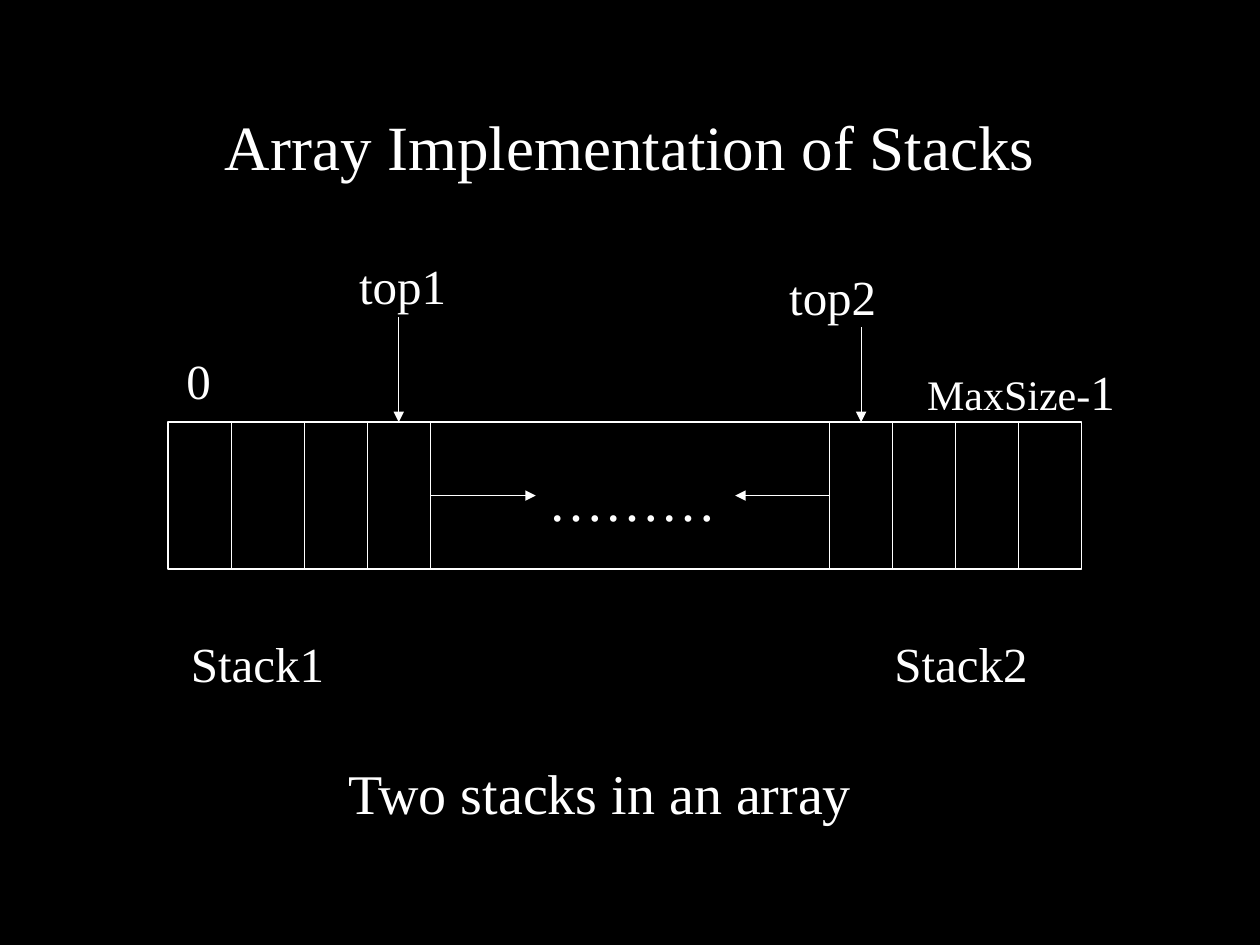
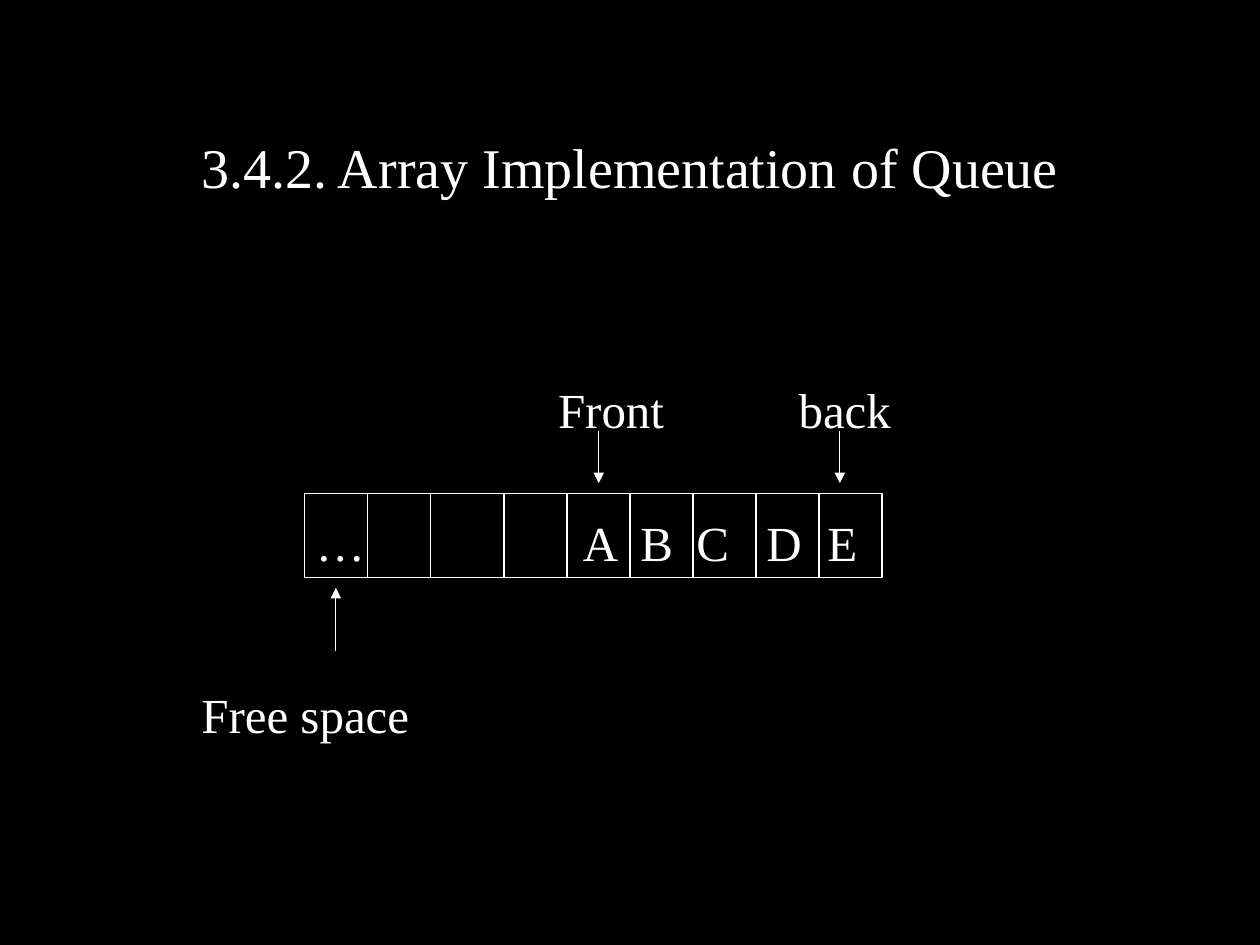
from lxml import etree
from pptx import Presentation
from pptx.dml.color import RGBColor
from pptx.enum.shapes import MSO_CONNECTOR, MSO_SHAPE
from pptx.enum.text import MSO_ANCHOR, PP_ALIGN
from pptx.oxml.ns import qn
from pptx.util import Cm, Pt

BLACK = RGBColor(0x00, 0x00, 0x00)
WHITE = RGBColor(0xFF, 0xFF, 0xFF)
FONT = "Times New Roman"
STRAIGHT = MSO_CONNECTOR.STRAIGHT
RECTANGLE = MSO_SHAPE.RECTANGLE
MIDDLE = MSO_ANCHOR.MIDDLE
CENTER = PP_ALIGN.CENTER
LINE_WIDTH = Pt(0.75)
CELL = 1.27


def add_label(slide, text, left, top, width, size=28, height=1.45):
    label = slide.shapes.add_textbox(Cm(left), Cm(top), Cm(width), Cm(height))
    frame = label.text_frame
    frame.word_wrap = True
    frame.margin_top = Cm(0.25)
    frame.text = text
    font = frame.paragraphs[0].runs[0].font
    font.name, font.size = FONT, Pt(size)
    font.color.rgb = WHITE
    return frame


def add_line(slide, x1, y1, x2, y2, arrow=False):
    line = slide.shapes.add_connector(STRAIGHT, Cm(x1), Cm(y1), Cm(x2), Cm(y2))
    line.line.color.rgb = WHITE
    line.line.width = LINE_WIDTH
    if arrow:
        etree.SubElement(line.line._get_or_add_ln(), qn("a:tailEnd"), type="triangle")
    etree.SubElement(line._element.spPr, qn("a:effectLst"))


prs = Presentation()
prs.slide_width = Cm(25.4)
prs.slide_height = Cm(19.05)
background = prs.slide_master.background.fill
background.solid()
background.fore_color.rgb = BLACK

pages = [
    ("Array Implementation of Stacks", 36, 2.34,
     (3.39, 8.51, 18.42, 2.96),
     [4.66, 6.14, 7.41, 8.68] + [16.72 + i * CELL for i in range(4)]),
    ("3.4.2. Array Implementation of Queue", 32, 3.18,
     (6.14, 9.95, 11.64, 1.69),
     [7.41, 8.68] + [10.16 + i * CELL for i in range(6)]),
]
slides = []
for title, title_size, title_height, (left, top, width, height), dividers in pages:
    slide = prs.slides.add_slide(prs.slide_layouts[6])
    slides.append(slide)
    heading = add_label(slide, title, 1.9, 1.7, 21.6, title_size, title_height)
    heading.vertical_anchor = MIDDLE
    heading.paragraphs[0].alignment = CENTER

    array = slide.shapes.add_shape(RECTANGLE, Cm(left), Cm(top), Cm(width), Cm(height))
    array.shadow.inherit = False
    array.fill.background()
    array.line.color.rgb = WHITE
    array.line.width = LINE_WIDTH
    for x in dividers:
        add_line(slide, x, top, x, top + height)

stacks, queue = slides

for arrow in [
    (8.68, 9.99, 10.8, 9.99),
    (16.72, 9.99, 14.82, 9.99),
    (8.04, 6.39, 8.04, 8.51),
    (17.36, 6.6, 17.36, 8.51),
]:
    add_line(stacks, *arrow, arrow=True)

for text, left, top, width in [
    ("0", 3.51, 6.81, 1.3),
    ("top1", 6.99, 4.9, 2.54),
    ("top2", 15.66, 5.13, 2.97),
    ("Stack1", 3.6, 12.52, 5.72),
    ("Stack2", 17.78, 12.52, 5.08),
]:
    add_label(stacks, text, left, top, width)

last_index = add_label(stacks, "MaxSize-", 18.44, 7.04, 4.42, 24)
one = last_index.paragraphs[0].add_run()
one.text = "1"
one.font.name, one.font.size = FONT, Pt(28)
one.font.color.rgb = WHITE

add_label(stacks, "………", 10.8, 9.14, 4.66, 32, 1.6)
add_label(stacks, "Two stacks in an array", 6.77, 15.04, 13.97, 32, 1.6)

for x, start, end in [(12.07, 8.68, 9.74), (16.93, 8.68, 9.74), (6.77, 13.12, 11.85)]:
    add_line(queue, x, start, x, end, arrow=True)

for text, left, top, width in [
    ("Front", 11.0, 7.41, 3.5),
    ("back", 15.85, 7.41, 3.5),
    ("Free space", 3.81, 13.55, 5.72),
]:
    add_label(queue, text, left, top, width)

for item, left in [("…", 6.12), ("A", 11.5), ("B", 12.66), ("C", 13.79), ("D", 15.2), ("E", 16.43)]:
    add_label(queue, item, left, 10.08, 1.6)

prs.save("out.pptx")
